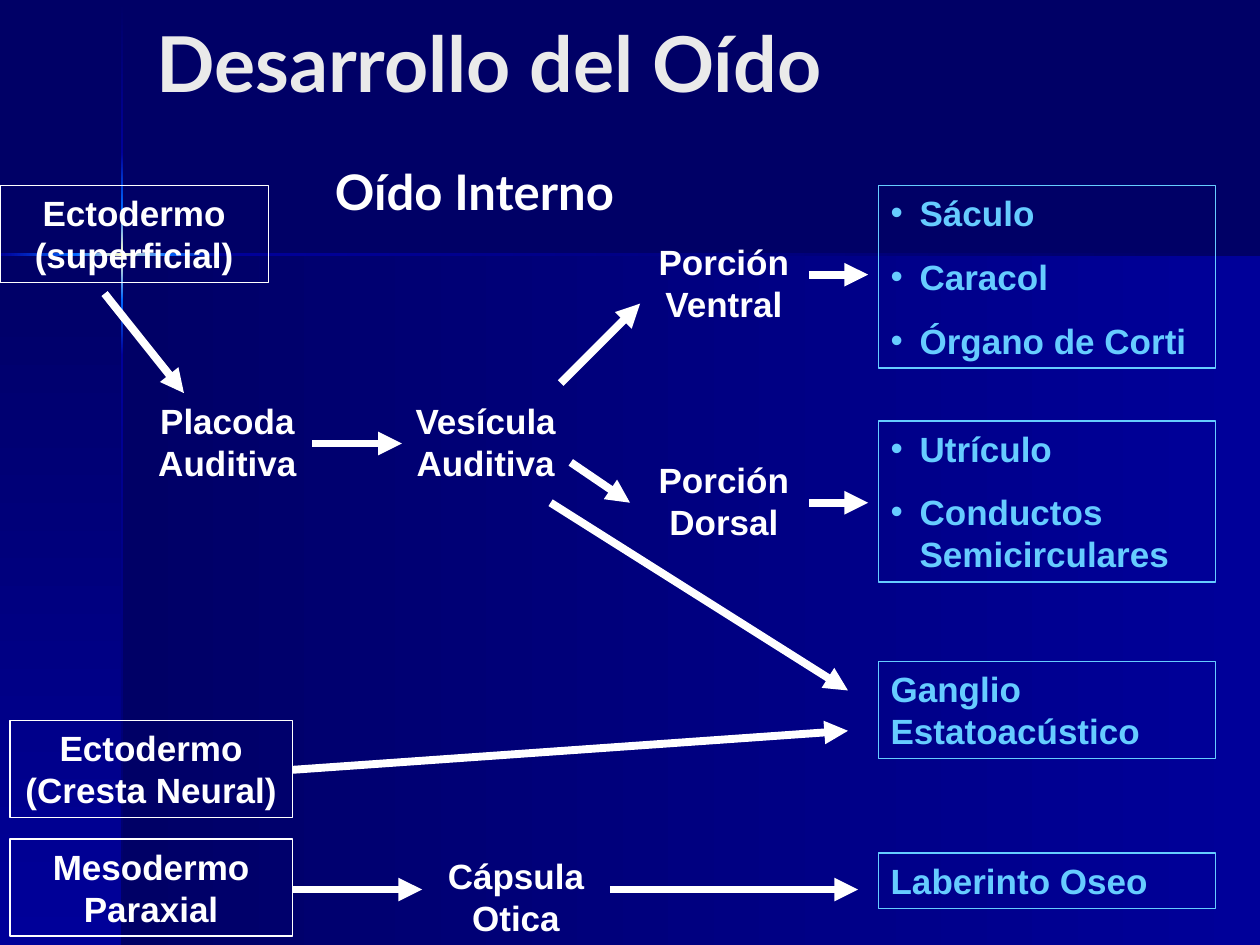
from copy import deepcopy

from lxml import etree
from pptx import Presentation
from pptx.dml.color import RGBColor
from pptx.enum.shapes import MSO_CONNECTOR, MSO_SHAPE
from pptx.enum.text import MSO_ANCHOR, MSO_AUTO_SIZE, PP_ALIGN
from pptx.oxml.ns import qn
from pptx.util import Inches, Pt

RECTANGLE, STRAIGHT = MSO_SHAPE.RECTANGLE, MSO_CONNECTOR.STRAIGHT
TOP, MIDDLE = MSO_ANCHOR.TOP, MSO_ANCHOR.MIDDLE
LEFT, CENTER = PP_ALIGN.LEFT, PP_ALIGN.CENTER
FIT_SHAPE, NO_FIT = MSO_AUTO_SIZE.SHAPE_TO_FIT_TEXT, MSO_AUTO_SIZE.NONE

THEME = {
    "navy": "000066", "blue": "000099", "glow": "0066FF", "spark": "FFFFCC",
    "heading": "EAEAEA", "white": "FFFFFF", "sky": "66CCFF",
    "heading_font": "Lato", "body_font": "Arial",
    "title_size": 44, "subtitle_size": 28, "body_size": 20,
    "paragraph_gap": 12.5, "border": 0.75, "arrow": 4.5,
}

WIDTH, HEIGHT = 10, 7.5
# Gradient angles run counter-clockwise.
DOWNWARD, LEFTWARD = 270, 180
BEAM = 0.02
BEAM_X, BEAM_Y = 0.96, 2.01
PANEL_X, PANEL_Y = 0.97, 2.02

# Panels: left, top, width, height, angle, gradient colours
PANELS = [
    (PANEL_X, PANEL_Y, WIDTH - PANEL_X, HEIGHT - PANEL_Y, LEFTWARD, ("blue", "navy")),
    (0, PANEL_Y, PANEL_X, HEIGHT - PANEL_Y, DOWNWARD, ("navy", "blue")),
]
# Beams: start, end, gradient colours
VERTICAL_BEAM = [
    (0.01, 1.21, ("navy", "blue")),
    (2.82, 7.5, ("blue", "navy")),
    (2.38, 2.82, ("glow", "blue")),
    (1.21, 1.65, ("blue", "glow")),
    (1.65, 2.38, ("glow", "spark", "glow")),
]
HORIZONTAL_BEAM = [
    (1.77, 10, ("navy", "blue")),
    (0, 0.61, ("glow", "blue")),
    (1.33, 1.77, ("blue", "glow")),
    (0.6, 1.33, ("glow", "spark", "glow")),
]

TITLE = "Desarrollo del Oído"
SUBTITLE = "Oído Interno"

# Origins: text, left, top, width
ORIGINS = [
    ("Ectodermo (superficial)", 0, 1.47, 2.13),
    ("Ectodermo (Cresta Neural)", 0.08, 5.72, 2.24),
    ("Mesodermo Paraxial", 0.08, 6.66, 2.24),
]
# Stages: text, left, top
STAGES = [
    ("Placoda Auditiva", 1.06, 3.12),
    ("Vesícula Auditiva", 3.11, 3.12),
    ("Porción Ventral", 5, 1.86),
    ("Porción Dorsal", 5, 3.59),
    ("Cápsula Otica", 3.35, 6.73),
]
# Outcomes: paragraphs, top, height, bulleted
OUTCOMES = [
    (["Sáculo", "Caracol", "Órgano de Corti"], 1.47, 1.45, True),
    (["Utrículo", "Conductos Semicirculares"], 3.34, 1.28, True),
    (["Ganglio Estatoacústico"], 5.25, 0.77, False),
    (["Laberinto Oseo"], 6.77, 0.44, False),
]
STAGE_WIDTH, TWO_LINES = 1.49, 0.77
OUTCOME_X, OUTCOME_WIDTH = 6.97, 2.68
BULLET_INDENT = 0.23

# Arrows: start point, end point
ARROWS = [
    ((0.83, 2.33), (1.46, 3.12)),
    ((2.48, 3.52), (3.19, 3.52)),
    ((4.45, 3.04), (5.08, 2.41)),
    ((4.53, 3.67), (5, 3.99)),
    ((4.37, 3.99), (6.73, 5.48)),
    ((6.42, 2.18), (6.89, 2.18)),
    ((6.42, 3.99), (6.89, 3.99)),
    ((2.32, 6.11), (6.73, 5.8)),
    ((2.32, 7.06), (3.35, 7.06)),
    ((4.84, 7.06), (6.81, 7.06)),
]


def color(name):
    return RGBColor.from_string(THEME[name])


def set_all(target, values):
    for name, value in values.items():
        setattr(target, name, value)


def add_gradient(slide, left, top, width, height, angle, colors):
    shape = slide.shapes.add_shape(RECTANGLE, *map(Inches, (left, top, width, height)))
    shape.shadow.inherit = False
    shape.line.fill.background()
    shape.fill.gradient()
    shape.fill.gradient_angle = angle
    stop_list = shape._element.spPr.find(".//" + qn("a:gsLst"))
    for _ in colors[2:]:
        stop_list.append(deepcopy(stop_list[0]))
    for index, (stop, name) in enumerate(zip(shape.fill.gradient_stops, colors)):
        stop.position = index / (len(colors) - 1)
        stop.color.rgb = color(name)


def add_bullet(paragraph, color_name):
    properties = paragraph._p.get_or_add_pPr()
    properties.set("marL", str(Inches(BULLET_INDENT)))
    properties.set("indent", str(-Inches(BULLET_INDENT)))
    bullet_color = etree.SubElement(properties, qn("a:buClr"))
    etree.SubElement(bullet_color, qn("a:srgbClr"), val=THEME[color_name])
    etree.SubElement(properties, qn("a:buFont"), typeface=THEME["body_font"])
    etree.SubElement(properties, qn("a:buChar"), char="•")


def add_text(slide, texts, left, top, width, height, color_name="white", font="body_font",
             size="body_size", align=LEFT, anchor=TOP, fit=FIT_SHAPE,
             bordered=False, bulleted=False):
    place = map(Inches, (left, top, width, height))
    if bordered:
        shape = slide.shapes.add_shape(RECTANGLE, *place)
        shape.shadow.inherit = False
        shape.fill.background()
        shape.line.color.rgb = color(color_name)
        shape.line.width = Pt(THEME["border"])
    else:
        shape = slide.shapes.add_textbox(*place)
    frame = shape.text_frame
    set_all(frame, {"word_wrap": True, "auto_size": fit, "vertical_anchor": anchor})
    for index, text in enumerate(texts):
        paragraph = frame.add_paragraph() if index else frame.paragraphs[0]
        if bulleted:
            add_bullet(paragraph, color_name)
        paragraph.alignment = align
        if index:
            paragraph.space_before = Pt(THEME["paragraph_gap"])
        run = paragraph.add_run()
        run.text = text
        set_all(run.font, {"name": THEME[font], "size": Pt(THEME[size]), "bold": True})
        run.font.color.rgb = color(color_name)


def add_arrow(slide, start, end):
    connector = slide.shapes.add_connector(STRAIGHT, *map(Inches, start + end))
    connector.line.color.rgb = color("white")
    connector.line.width = Pt(THEME["arrow"])
    properties = connector._element.spPr
    etree.SubElement(properties.find(qn("a:ln")), qn("a:tailEnd"), type="triangle")
    etree.SubElement(properties, qn("a:effectLst"))


def main():
    presentation = Presentation()
    set_all(presentation, {"slide_width": Inches(WIDTH), "slide_height": Inches(HEIGHT)})
    slide = presentation.slides.add_slide(presentation.slide_layouts[6])
    slide.background.fill.solid()
    slide.background.fill.fore_color.rgb = color("navy")

    for panel in PANELS:
        add_gradient(slide, *panel)
    for start, end, colors in VERTICAL_BEAM:
        add_gradient(slide, BEAM_X, start, BEAM, end - start, DOWNWARD, colors)
    for start, end, colors in HORIZONTAL_BEAM:
        add_gradient(slide, start, BEAM_Y, end - start, BEAM, LEFTWARD, colors)

    add_text(slide, [TITLE], 1.14, 0, 8.25, 0.98, "heading", "heading_font", "title_size",
             anchor=MIDDLE, fit=NO_FIT)
    add_text(slide, [SUBTITLE], 2.56, 1.23, 4.02, 0.57, "white", "heading_font",
             "subtitle_size")
    for text, left, top, width in ORIGINS:
        add_text(slide, [text], left, top, width, TWO_LINES, align=CENTER, bordered=True)
    for text, left, top in STAGES:
        add_text(slide, [text], left, top, STAGE_WIDTH, TWO_LINES, align=CENTER)
    for texts, top, height, bulleted in OUTCOMES:
        add_text(slide, texts, OUTCOME_X, top, OUTCOME_WIDTH, height, "sky",
                 bordered=True, bulleted=bulleted)
    for start, end in ARROWS:
        add_arrow(slide, start, end)

    presentation.save("out.pptx")


if __name__ == "__main__":
    main()
